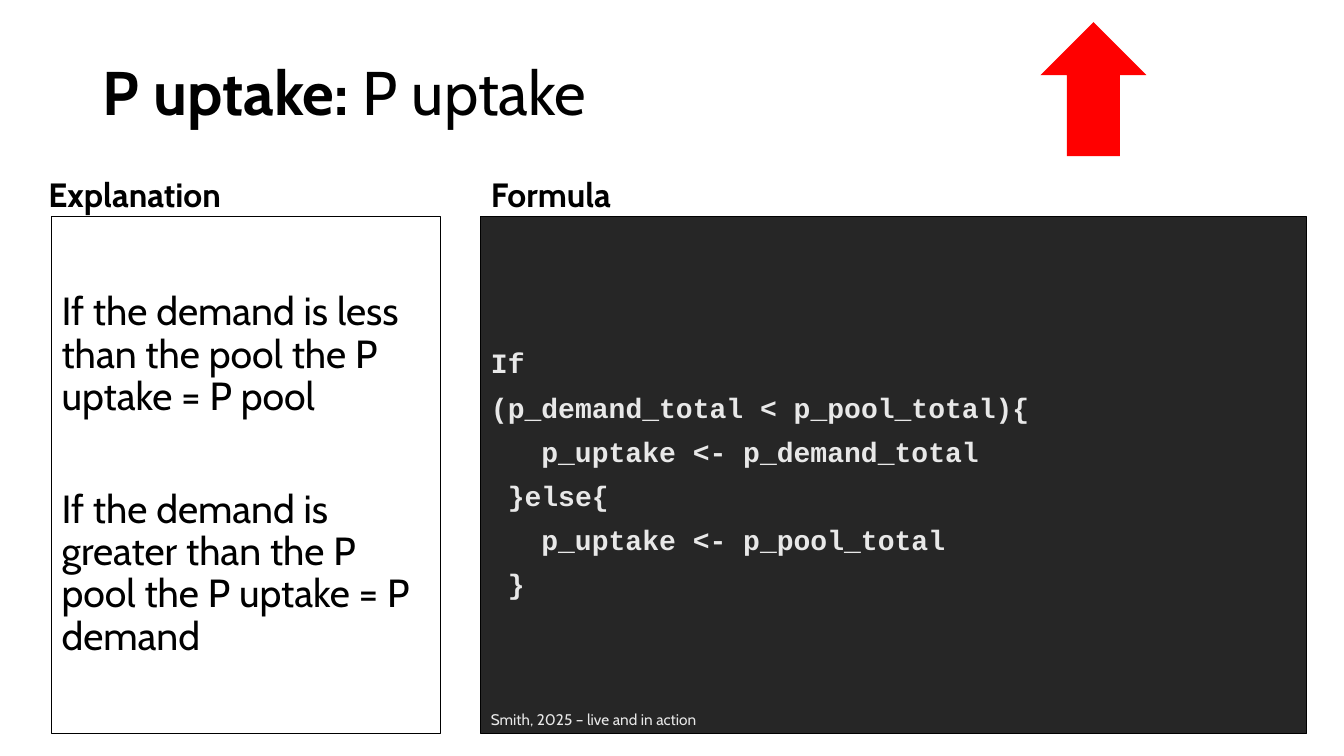
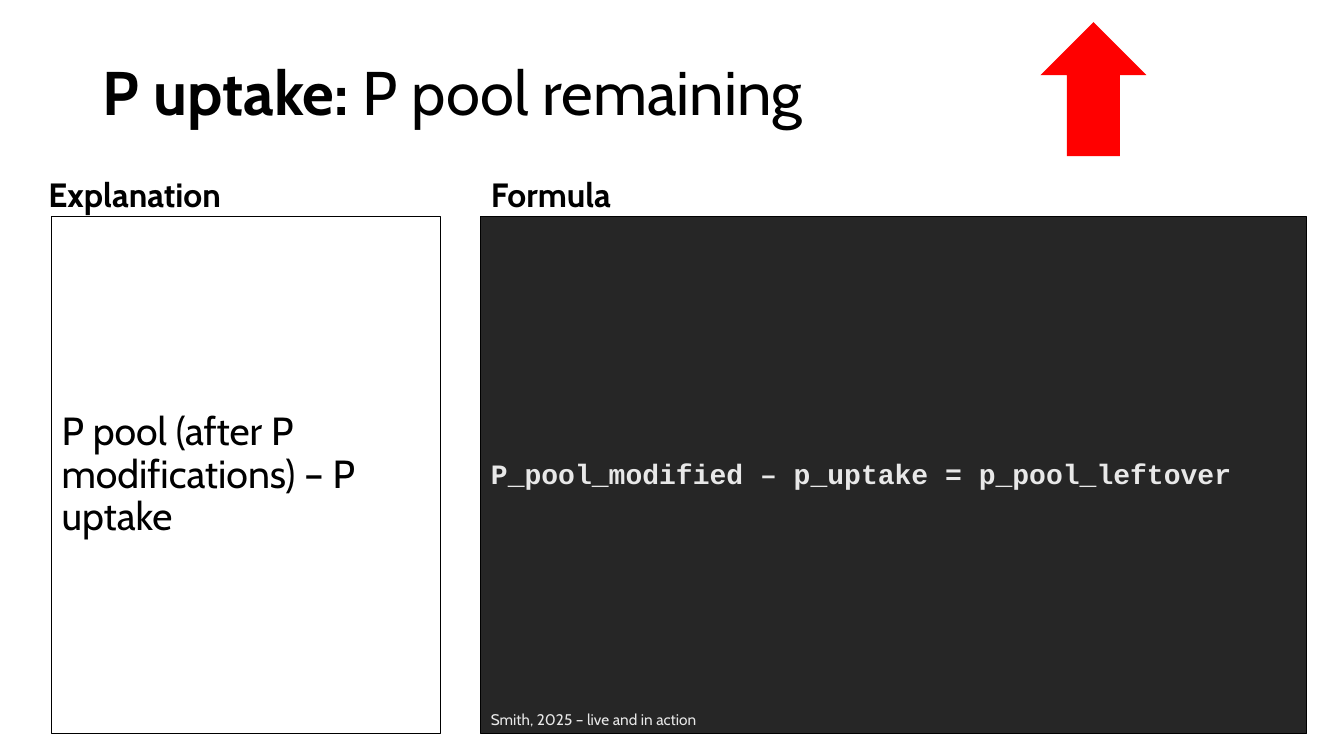
from lxml import etree
from pptx import Presentation
from pptx import util as u
from pptx.dml import color
from pptx.enum import shapes, text
from pptx.oxml import ns

WIDTH, HEIGHT = 13.33, 7.5
BLACK, DARK, LIGHT, RED = "000000", "262626", "E8E8E8", "FF0000"
COMPARISON_LAYOUT = 4

TOP, BOX_HEIGHT = 28.67, 68.4
HEADING_TOP, HEADING_HEIGHT = 17.07, 12
FORMULA_LEFT = 35.78

TITLE = dict(size=44, name="Cabin", ink=BLACK)
HEADING = dict(size=24, name="Cabin", ink=BLACK, bold=True)
PROSE = dict(size=28, name="Cabin", ink=BLACK)
CODE = dict(size=20, name="Courier New", ink=LIGHT, bold=True)
CITATION = dict(size=11, name="Cabin", ink=LIGHT)


def rgb(value):
    return color.RGBColor.from_string(value)


def assign(target, values):
    for attribute, value in values.items():
        setattr(target, attribute, value)


class Deck:
    def __init__(self):
        self.prs = Presentation()
        assign(self.prs, dict(slide_width=u.Inches(WIDTH), slide_height=u.Inches(HEIGHT)))
        self.slide = None

    def new_slide(self):
        self.slide = self.prs.slides.add_slide(self.prs.slide_layouts[COMPARISON_LAYOUT])

    def area(self, left, top, width, height):
        across, down = self.prs.slide_width / 100, self.prs.slide_height / 100
        return [int(n) for n in (left * across, top * down, width * across, height * down)]

    def style(self, run, size, name, ink, bold=False):
        assign(run.font, dict(size=u.Pt(size), name=name, bold=bold))
        run.font.color.rgb = rgb(ink)

    def placeholder(self, index, place, anchor):
        holder = self.slide.placeholders[index]
        assign(holder, dict(zip(("left", "top", "width", "height"), self.area(*place))))
        assign(holder.text_frame, dict(word_wrap=True, vertical_anchor=anchor,
                                       auto_size=text.MSO_AUTO_SIZE.NONE))
        return holder

    def paragraph(self, frame, number, before):
        paragraph = frame.add_paragraph() if number else frame.paragraphs[0]
        assign(paragraph, dict(alignment=text.PP_ALIGN.LEFT, line_spacing=0.9,
                               space_before=u.Pt(before)))
        return paragraph

    def flatten(self, paragraph):
        props = paragraph._p.get_or_add_pPr()
        assign_xml = dict(marL="0", indent="0")
        for key, value in assign_xml.items():
            props.set(key, value)
        etree.SubElement(props, ns.qn("a:buNone"))
        tabs = etree.SubElement(props, ns.qn("a:tabLst"))
        etree.SubElement(tabs, ns.qn("a:tab"), pos=str(u.Inches(1)), algn="l")

    def title(self, topic, subject):
        holder = self.placeholder(0, (6.9, 5.33, 86.27, 14.53), text.MSO_ANCHOR.MIDDLE)
        line = self.paragraph(holder.text_frame, 0, 0)
        for words, bold in ((topic + ": ", True), (subject, False)):
            run = line.add_run()
            run.text = words
            self.style(run, **TITLE, bold=bold)

    def body(self, index, place, lines, look, anchor=text.MSO_ANCHOR.MIDDLE, gap=10):
        holder = self.placeholder(index, place, anchor)
        for number, words in enumerate(lines):
            line = self.paragraph(holder.text_frame, number, gap if number else 10)
            self.flatten(line)
            run = line.add_run()
            run.text = words
            self.style(run, **look)
        return holder

    def heading(self, index, left, width, words):
        self.body(index, (left, HEADING_TOP, width, HEADING_HEIGHT), [words], HEADING,
                  text.MSO_ANCHOR.BOTTOM)

    def panel(self, index, left, width, lines, look, gap=10, fill=None):
        box = self.body(index, (left, TOP, width, BOX_HEIGHT), lines, look, gap=gap)
        box.line.color.rgb = rgb(BLACK)
        box.line.width = u.Pt(0.75)
        if fill:
            box.fill.solid()
            box.fill.fore_color.rgb = rgb(fill)

    def up_arrow(self):
        arrow = self.slide.shapes.add_shape(shapes.MSO_SHAPE.UP_ARROW,
                                            *self.area(77.42, 2.93, 7.88, 17.73))
        arrow.shadow.inherit = False
        arrow.fill.solid()
        arrow.fill.fore_color.rgb = rgb(RED)
        arrow.line.fill.background()

    def citation(self, words):
        frame = self.slide.shapes.add_textbox(
            *self.area(FORMULA_LEFT, 93.33, 18.98, 3.87)).text_frame
        assign(frame, dict(word_wrap=True, auto_size=text.MSO_AUTO_SIZE.SHAPE_TO_FIT_TEXT))
        run = frame.paragraphs[0].add_run()
        run.text = words
        self.style(run, **CITATION)

    def formula_slide(self, subject, explanation, formula):
        self.new_slide()
        self.title("P uptake", subject)
        self.heading(1, 2.85, 42.3, "Explanation")
        self.panel(2, 3.83, 28.96, explanation, PROSE, gap=50)
        self.heading(3, FORMULA_LEFT, 42.54, "Formula")
        self.panel(4, FORMULA_LEFT, 61.44, formula, CODE, fill=DARK)
        self.up_arrow()
        self.citation("Smith, 2025 – live and in action")


def main():
    deck = Deck()
    deck.formula_slide(
        "P uptake",
        ["If the demand is less than the pool the P uptake = P pool",
         "If the demand is greater than the P pool the P uptake = P demand"],
        ["If",
         "(p_demand_total < p_pool_total){",
         "\tp_uptake <- p_demand_total",
         " }else{",
         "\tp_uptake <- p_pool_total",
         " }"])
    deck.formula_slide(
        "P pool remaining",
        ["P pool (after P modifications) – P uptake"],
        ["P_pool_modified – p_uptake = p_pool_leftover"])
    deck.prs.save("out.pptx")


if __name__ == "__main__":
    main()
